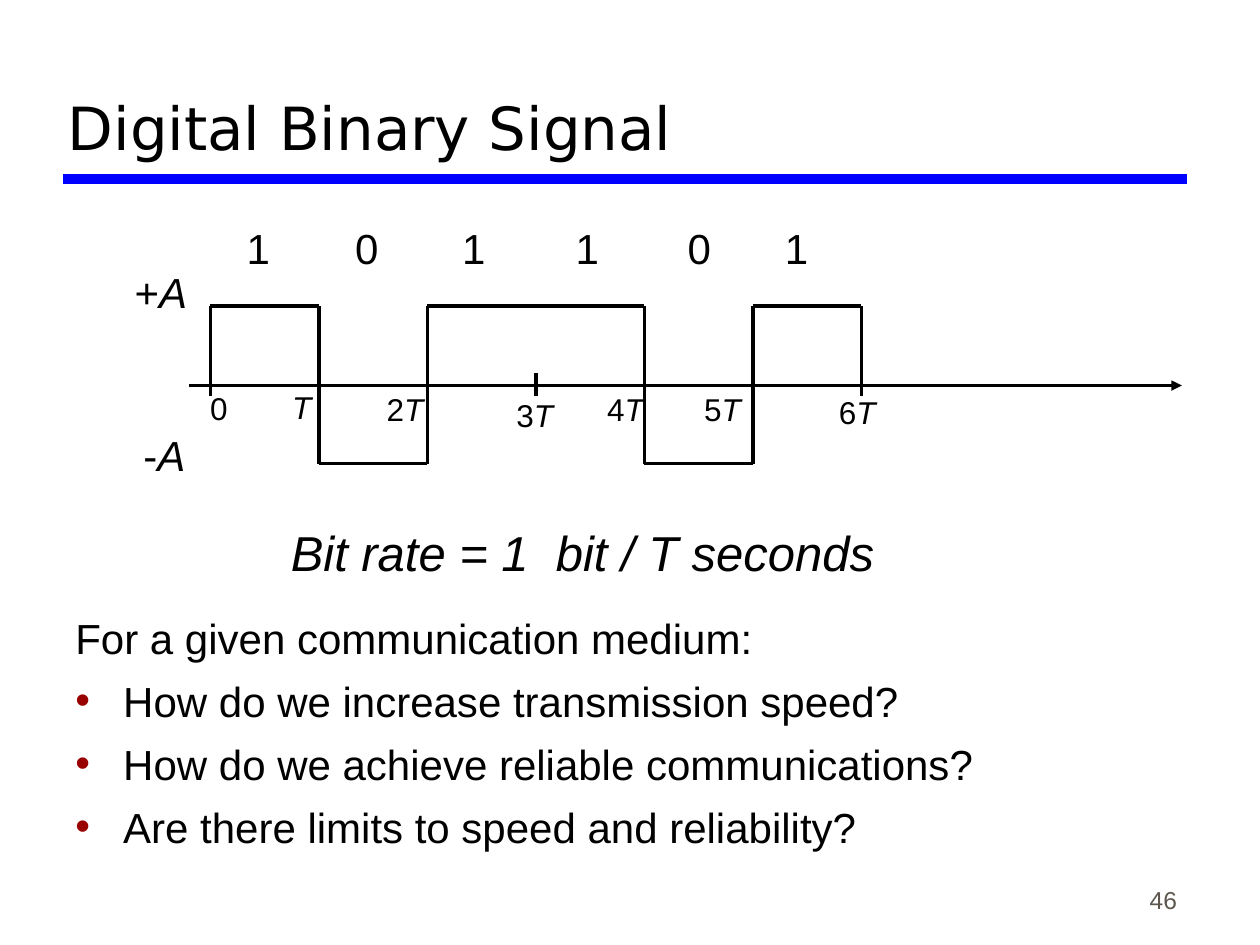
import itertools

import pptx
import pptx.dml.color
import pptx.enum.shapes
import pptx.enum.text
import pptx.oxml
import pptx.oxml.ns
import pptx.util
from pptx.util import Inches, Pt

RGBColor = pptx.dml.color.RGBColor
Anchor = pptx.enum.text.MSO_ANCHOR
Align = pptx.enum.text.PP_ALIGN

BLACK = RGBColor(0x00, 0x00, 0x00)
RULE_BLUE = RGBColor(0x00, 0x00, 0xFF)
BULLET_RED = RGBColor(0x99, 0x00, 0x00)
NUMBER_GREY = RGBColor(0x5E, 0x57, 0x4E)

TITLE = "Digital Binary Signal"
BIT_RATE = "Bit rate = 1  bit / T seconds"
QUESTIONS_LEAD = "For a given communication medium:"
QUESTIONS = [
    "How do we increase transmission speed?",
    "How do we achieve reliable communications?",
    "Are there limits to speed and reliability?",
]
SLIDE_NUMBER = "46"

# Each bit with the left edge of its label
BITS = [("1", 1.86), ("0", 2.72), ("1", 3.57), ("1", 4.47), ("0", 5.36), ("1", 6.13)]
# Time labels: upright part, italic part, left, top, width
TIMES = [
    ("0", "", 1.57, 3.04, 0.34),
    ("", "T", 2.22, 3.03, 0.35),
    ("2", "T", 2.97, 3.05, 0.49),
    ("3", "T", 4.0, 3.09, 0.49),
    ("4", "T", 4.72, 3.05, 0.49),
    ("5", "T", 5.49, 3.05, 0.49),
    ("6", "T", 6.56, 3.07, 0.49),
]
AMPLITUDES = [("+", "A", 0.97, 2.07, 0.62), ("-", "A", 1.04, 3.36, 0.53)]

ORIGIN, PERIOD = 1.67, 0.861
AXIS_Y, AXIS_START, AXIS_END = 3.06, 1.5, 9.38
TICK_TOP, TICK_BOTTOM = 2.96, 3.14
LEVELS = {"1": 2.43, "0": 3.68}


def add_line(shapes, x1, y1, x2, y2, color=BLACK, width=2):
    line = shapes.add_connector(
        pptx.enum.shapes.MSO_CONNECTOR.STRAIGHT,
        Inches(x1), Inches(y1), Inches(x2), Inches(y2))
    line.line.color.rgb = color
    line.line.width = Pt(width)
    properties = line._element.spPr
    properties.append(properties.makeelement(pptx.oxml.ns.qn("a:effectLst"), {}))
    return line


def add_box(shapes, left, top, width, height, wrap=False, anchor=Anchor.TOP):
    box = shapes.add_textbox(Inches(left), Inches(top), Inches(width), Inches(height))
    box.text_frame.word_wrap = wrap
    box.text_frame.vertical_anchor = anchor
    return box.text_frame


def add_run(paragraph, text, size, italic=False, font="Arial", color=BLACK):
    run = paragraph.add_run()
    run.text = text
    run.font.size = Pt(size)
    run.font.name = font
    run.font.italic = italic
    run.font.color.rgb = color


def add_label(shapes, upright, italic, left, top, width, height, size):
    """Place a one-line label whose second part is italic."""
    paragraph = add_box(shapes, left, top, width, height).paragraphs[0]
    for text, slanted in ((upright, False), (italic, True)):
        if text:
            add_run(paragraph, text, size, slanted)


def set_bullet(paragraph):
    properties = paragraph._p.get_or_add_pPr()
    properties.set("marL", str(Inches(0.38)))
    properties.set("indent", str(-Inches(0.38)))
    namespace = pptx.oxml.ns.nsdecls("a")
    for xml in (
        f'<a:buClr {namespace}><a:srgbClr val="{BULLET_RED}"/></a:buClr>',
        f'<a:buFont {namespace} typeface="Arial"/>',
        f'<a:buChar {namespace} char="•"/>',
    ):
        properties.append(pptx.oxml.parse_xml(xml))


def add_axis(shapes):
    axis = add_line(shapes, AXIS_START, AXIS_Y, AXIS_END, AXIS_Y)
    outline = axis.line._get_or_add_ln()
    outline.append(outline.makeelement(pptx.oxml.ns.qn("a:tailEnd"), {"type": "triangle"}))
    for tick in range(len(BITS) + 1):
        x = ORIGIN + tick * PERIOD
        add_line(shapes, x, TICK_TOP, x, TICK_BOTTOM)


def add_waveform(shapes):
    """Draw one pulse for each run of equal bits."""
    start = ORIGIN
    for bit, run in itertools.groupby(value for value, _ in BITS):
        end = start + PERIOD * len(list(run))
        level = LEVELS[bit]
        add_line(shapes, start, AXIS_Y, start, level)
        add_line(shapes, start, level, end, level)
        add_line(shapes, end, level, end, AXIS_Y)
        start = end


def main():
    deck = pptx.Presentation()
    deck.slide_width, deck.slide_height = Inches(10), Inches(7.5)
    slide = deck.slides.add_slide(deck.slide_layouts[6])

    add_line(slide.shapes, 0.5, 1.42, 9.42, 1.42, RULE_BLUE, 6)
    number = add_box(slide.shapes, 7.36, 6.81, 2.08, 0.5, True, Anchor.BOTTOM).paragraphs[0]
    number.alignment = Align.RIGHT
    add_run(number, SLIDE_NUMBER, 14, color=NUMBER_GREY)
    title = add_box(slide.shapes, 0.44, 0.17, 8.97, 1.17, True, Anchor.BOTTOM)
    add_run(title.paragraphs[0], TITLE, 34, font="DejaVu Sans")

    questions = add_box(slide.shapes, 0.5, 4.81, 9, 2.48, True)
    add_run(questions.paragraphs[0], QUESTIONS_LEAD, 24)
    for question in QUESTIONS:
        paragraph = questions.add_paragraph()
        paragraph.space_before = Pt(7.2)
        set_bullet(paragraph)
        add_run(paragraph, question, 24)

    signal = slide.shapes.add_group_shape().shapes
    add_axis(signal)
    add_waveform(signal)
    for amplitude in AMPLITUDES:
        add_label(signal, *amplitude, height=0.5, size=24)
    for time in TIMES:
        add_label(signal, *time, height=0.4, size=18)
    for bit, left in BITS:
        add_label(signal, bit, "", left, 1.72, 0.38, 0.5, 24)

    add_label(slide.shapes, "", BIT_RATE, 2.21, 4.1, 4.83, 0.57, 28)
    deck.save("out.pptx")


if __name__ == "__main__":
    main()
